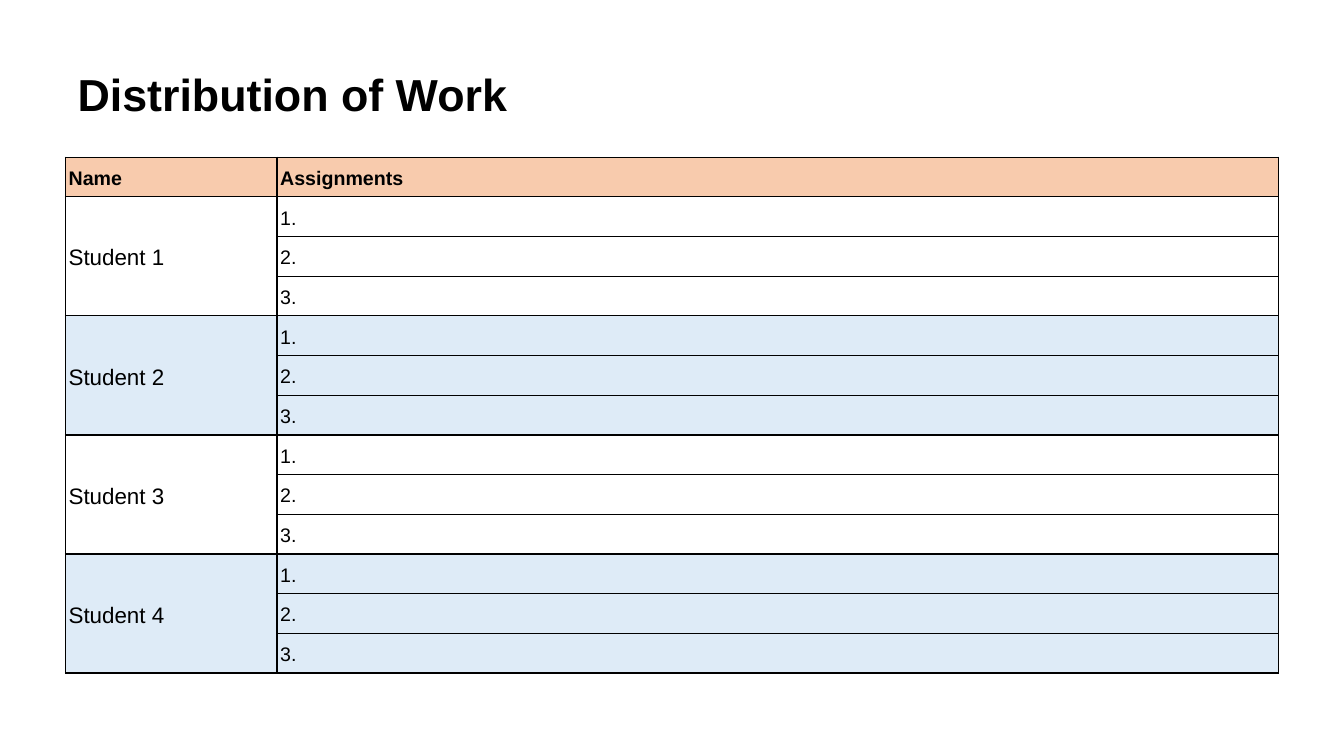
from dataclasses import dataclass

import pptx
import pptx.dml.color
import pptx.enum.text
import pptx.oxml
import pptx.oxml.ns
import pptx.slide
import pptx.table
import pptx.text.text
import pptx.util

Cm = pptx.util.Cm
Pt = pptx.util.Pt
FONT = "Arial"
BLACK = "000000"
PEACH = "F8CBAD"
PALE_BLUE = "DEEBF7"
ASSIGNMENTS_EACH = 3
ROW_HEIGHT = Cm(1)
COLUMN_WIDTHS = (Cm(5.33), Cm(25.23))


@dataclass(frozen=True)
class Student:
    name: str
    fill: str | None = None


STUDENTS = [
    Student("Student 1"),
    Student("Student 2", PALE_BLUE),
    Student("Student 3"),
    Student("Student 4", PALE_BLUE),
]


def colour(hex_value: str) -> pptx.dml.color.RGBColor:
    return pptx.dml.color.RGBColor.from_string(hex_value)


def format_text(paragraph: pptx.text.text._Paragraph, size: int, bold: bool) -> None:
    paragraph.font.name = FONT
    paragraph.font.size = Pt(size)
    paragraph.font.bold = bold
    paragraph.font.color.rgb = colour(BLACK)


def style_cell(cell: pptx.table._Cell, fill: str | None) -> None:
    properties = cell._tc.get_or_add_tcPr()
    for index, edge in enumerate(("lnL", "lnR", "lnT", "lnB")):
        border = pptx.oxml.parse_xml(
            f'<a:{edge} {pptx.oxml.ns.nsdecls("a")} w="{Pt(1)}">'
            f'<a:solidFill><a:srgbClr val="{BLACK}"/></a:solidFill></a:{edge}>'
        )
        properties.insert(index, border)
    if fill:
        cell.fill.solid()
        cell.fill.fore_color.rgb = colour(fill)
    else:
        cell.fill.background()
    cell.vertical_anchor = pptx.enum.text.MSO_ANCHOR.MIDDLE
    cell.margin_left = cell.margin_right = Cm(0.08)
    cell.margin_top = cell.margin_bottom = Cm(0.05)


def write_cell(cell: pptx.table._Cell, text: str, size: int, bold: bool = False) -> None:
    cell.text = text
    paragraph = cell.text_frame.paragraphs[0]
    paragraph.line_spacing = 1.15
    format_text(paragraph, size, bold)


def add_heading(slide: pptx.slide.Slide) -> None:
    heading = slide.shapes.title
    heading.left, heading.top = Cm(1.7), Cm(1.45)
    heading.width, heading.height = Cm(22.83), Cm(1.37)
    frame = heading.text_frame
    frame.text = "Distribution of Work"
    frame.auto_size = pptx.enum.text.MSO_AUTO_SIZE.NONE
    frame.vertical_anchor = pptx.enum.text.MSO_ANCHOR.TOP
    frame.margin_top = Cm(0.23)
    frame.margin_bottom = 0
    frame.paragraphs[0].alignment = pptx.enum.text.PP_ALIGN.LEFT
    format_text(frame.paragraphs[0], 32, True)


def add_work_table(slide: pptx.slide.Slide) -> None:
    row_count = 1 + len(STUDENTS) * ASSIGNMENTS_EACH
    work = slide.shapes.add_table(
        row_count, len(COLUMN_WIDTHS), Cm(1.65), Cm(3.96),
        sum(COLUMN_WIDTHS), ROW_HEIGHT * row_count,
    ).table
    work.first_row = False
    work.horz_banding = False
    for column, width in zip(work.columns, COLUMN_WIDTHS):
        column.width = width
    for row in work.rows:
        row.height = ROW_HEIGHT

    for column, header in enumerate(("Name", "Assignments")):
        style_cell(work.cell(0, column), PEACH)
        write_cell(work.cell(0, column), header, 14, True)

    for position, student in enumerate(STUDENTS):
        first = 1 + position * ASSIGNMENTS_EACH
        for offset in range(ASSIGNMENTS_EACH):
            for column in range(len(COLUMN_WIDTHS)):
                style_cell(work.cell(first + offset, column), student.fill)
            write_cell(work.cell(first + offset, 1), f"{offset + 1}.", 14)
        work.cell(first, 0).merge(work.cell(first + ASSIGNMENTS_EACH - 1, 0))
        write_cell(work.cell(first, 0), student.name, 16)


def main() -> None:
    presentation = pptx.Presentation()
    presentation.slide_width = Cm(33.87)
    presentation.slide_height = Cm(19.05)
    slide = presentation.slides.add_slide(presentation.slide_layouts[5])
    add_heading(slide)
    add_work_table(slide)
    presentation.save("out.pptx")


if __name__ == "__main__":
    main()
